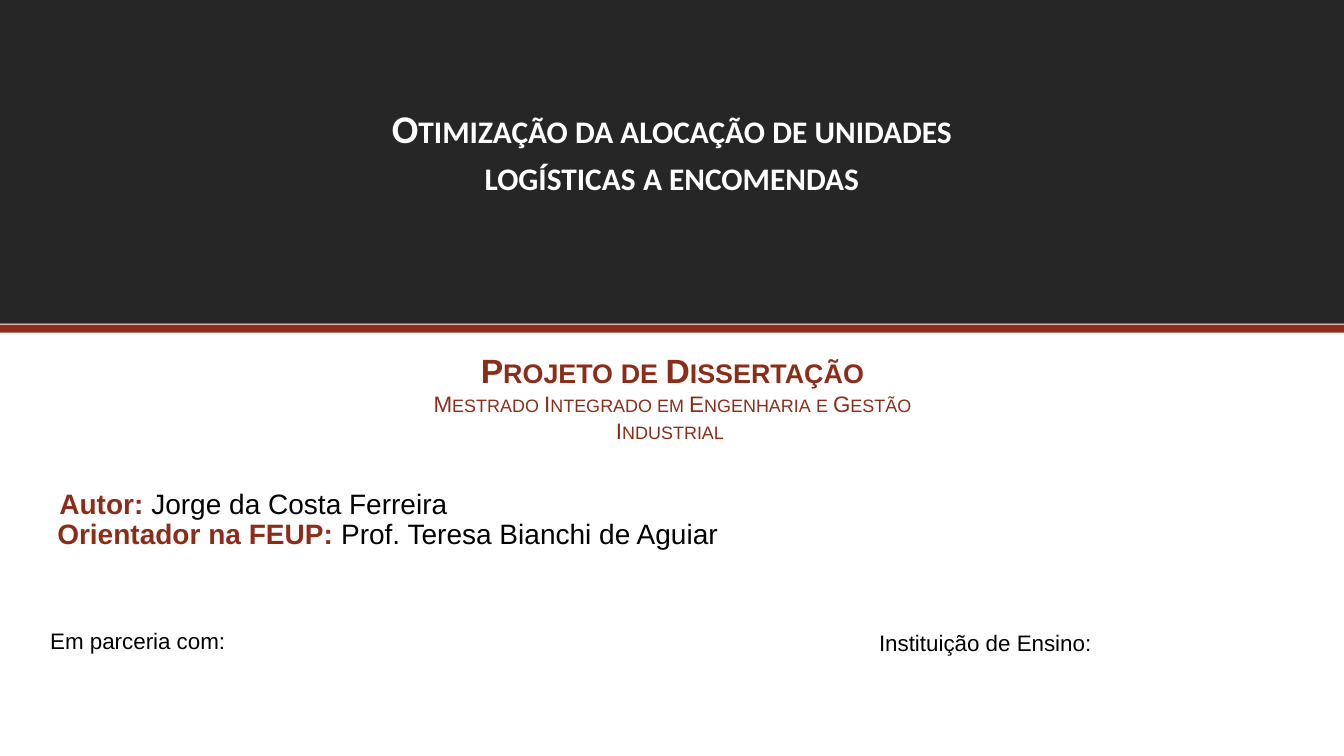
"""Build the cover slide of a dissertation project."""
from dataclasses import dataclass

from pptx import Presentation
from pptx import util as u
from pptx.dml.color import RGBColor
from pptx.enum import shapes, text

PX = 9144
DARK, RUST, WHITE, BLACK = "262626", "8C2D19", "FFFFFF", "000000"


@dataclass(frozen=True)
class Span:
    words: str
    size: int
    color: str = BLACK
    bold: bool = False
    small_caps: bool = False
    font: str = "Arial"


@dataclass(frozen=True)
class Band:
    top: int
    height: int
    color: str


@dataclass(frozen=True)
class Block:
    left: int
    top: int
    width: int
    height: int
    lines: tuple[tuple[Span, ...], ...]
    centered: bool = False


BANDS = (Band(-20, 341, DARK), Band(322, 8, RUST))
TITLE = Block(331, 127, 671, 47, ((
    Span("Otimização da alocação de unidades logísticas a encomendas",
         28, WHITE, True, True, "Calibri"),),), True)
BLOCKS = (
    Block(400, 342, 534, 104, (
        (Span("Projeto de Dissertação", 24, RUST, True, True),),
        (Span("Mestrado Integrado em Engenharia e Gestão Industrial ",
              16, RUST, False, True),),
    ), True),
    Block(40, 617, 196, 37, ((Span("Em parceria com:", 16),),)),
    Block(862, 619, 233, 37, ((Span("Instituição de Ensino:", 16),),)),
    Block(49, 478, 408, 44, ((Span("Autor: ", 20, RUST, True),
                              Span("Jorge da Costa Ferreira", 20)),)),
    Block(47, 508, 680, 44, ((Span("Orientador na FEUP: ", 20, RUST, True),
                              Span("Prof. Teresa Bianchi de Aguiar", 20)),)),
)


def rgb(color: str) -> RGBColor:
    return RGBColor.from_string(color)


def draw_band(page, band: Band) -> None:
    box = page.shapes.add_shape(shapes.MSO_SHAPE.RECTANGLE, 0, band.top * PX,
                                1333 * PX, band.height * PX)
    box.shadow.inherit = False
    box.fill.solid()
    box.fill.fore_color.rgb = rgb(band.color)
    box.line.fill.background()


def write_span(para, span: Span) -> None:
    run = para.add_run()
    run.text = span.words
    run.font.name = span.font
    run.font.size = u.Pt(span.size)
    run.font.bold = span.bold
    run.font.color.rgb = rgb(span.color)
    if span.small_caps:
        run._r.get_or_add_rPr().set("cap", "small")


def fill_box(box, block: Block) -> None:
    box.left, box.top = block.left * PX, block.top * PX
    box.width, box.height = block.width * PX, block.height * PX
    frame = box.text_frame
    frame.word_wrap = block.centered
    frame.auto_size = text.MSO_AUTO_SIZE.NONE
    frame.vertical_anchor = (text.MSO_ANCHOR.MIDDLE if block.centered
                             else text.MSO_ANCHOR.TOP)
    for index, line in enumerate(block.lines):
        para = frame.add_paragraph() if index else frame.paragraphs[0]
        para.alignment = (text.PP_ALIGN.CENTER if block.centered
                          else text.PP_ALIGN.LEFT)
        for span in line:
            write_span(para, span)


def main() -> None:
    deck = Presentation()
    deck.slide_width, deck.slide_height = 1333 * PX, 750 * PX
    page = deck.slides.add_slide(deck.slide_layouts[5])
    for band in BANDS:
        draw_band(page, band)
    title = page.shapes.title
    page.shapes._spTree.append(title._element)
    fill_box(title, TITLE)
    for block in BLOCKS:
        fill_box(page.shapes.add_textbox(0, 0, PX, PX), block)
    deck.save("out.pptx")


if __name__ == "__main__":
    main()
